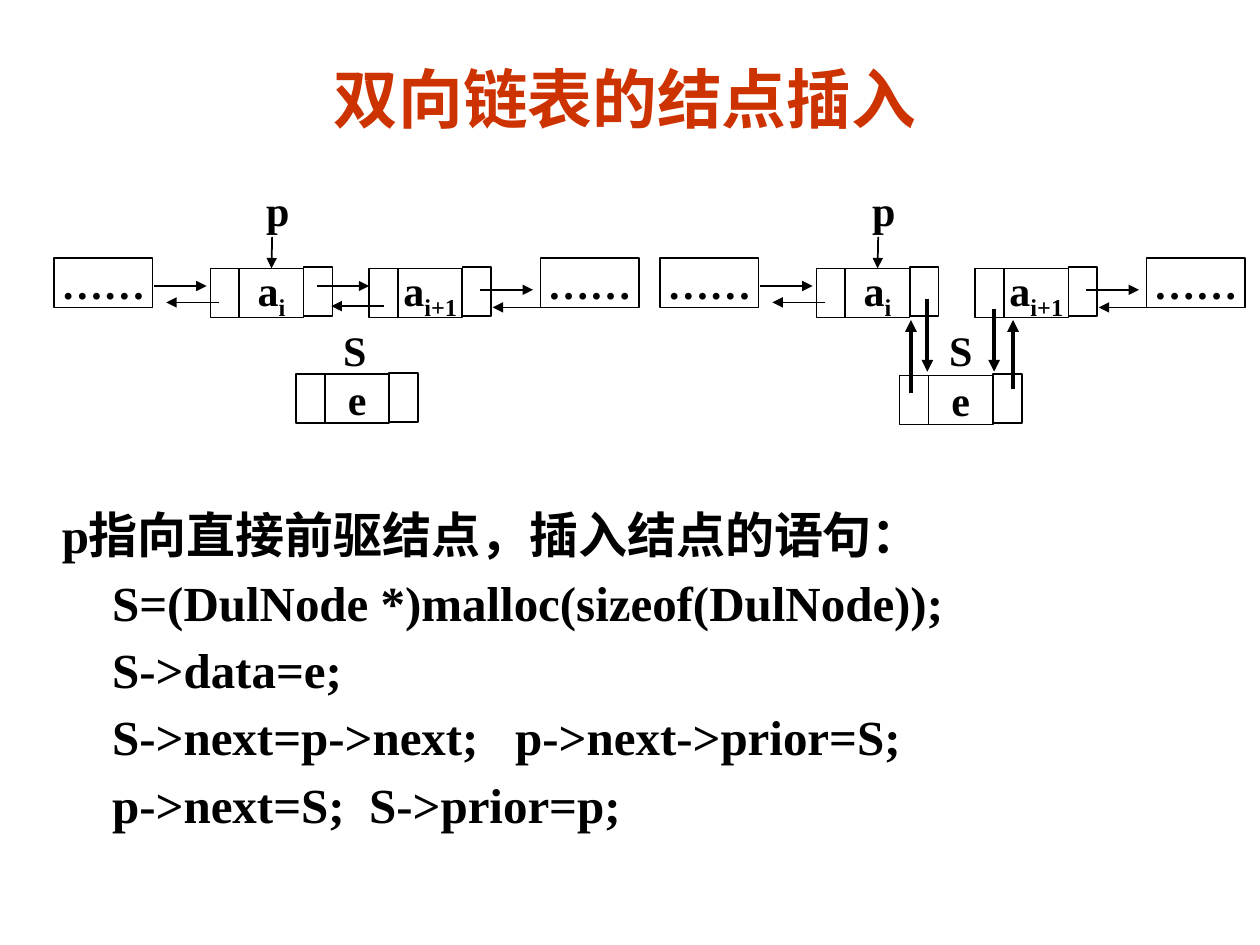
"""Build a slide on inserting a node into a doubly linked list."""
from lxml.etree import SubElement
from pptx import Presentation
from pptx.dml.color import RGBColor
from pptx.enum.shapes import MSO_CONNECTOR, MSO_SHAPE
from pptx.enum.text import MSO_ANCHOR, PP_ALIGN
from pptx.oxml.ns import qn
from pptx.util import Inches, Pt

BLACK = RGBColor(0, 0, 0)
TITLE_RED = RGBColor(0xCC, 0x33, 0x00)
LATIN_FONT = "Times New Roman"
CHINESE_FONT = "Noto Sans CJK SC"

presentation = Presentation()
presentation.slide_width = Inches(10)
presentation.slide_height = Inches(7.5)
slide = presentation.slides.add_slide(presentation.slide_layouts[1])


def add_box(left, top, width, height=0.39, text="", subscript="", outlined=True):
    if outlined:
        shape = slide.shapes.add_shape(
            MSO_SHAPE.RECTANGLE, Inches(left), Inches(top), Inches(width), Inches(height))
        shape.shadow.inherit = False
        shape.fill.background()
        shape.line.color.rgb = BLACK
        shape.line.width = Pt(1)
    else:
        shape = slide.shapes.add_textbox(
            Inches(left), Inches(top), Inches(width), Inches(height))
    text_frame = shape.text_frame
    text_frame.word_wrap = False
    text_frame.vertical_anchor = MSO_ANCHOR.MIDDLE
    paragraph = text_frame.paragraphs[0]
    paragraph.alignment = PP_ALIGN.CENTER
    for part, baseline in ((text, 0), (subscript, -25000)):
        if part:
            run = paragraph.add_run()
            run.text = part
            run.font.name = LATIN_FONT
            run.font.size = Pt(24)
            run.font.bold = True
            run.font.color.rgb = BLACK
            if baseline:
                run.font._element.set("baseline", str(baseline))
    return shape


def add_arrow(start_x, start_y, end_x, end_y, width=1):
    arrow = slide.shapes.add_connector(
        MSO_CONNECTOR.STRAIGHT, Inches(start_x), Inches(start_y), Inches(end_x), Inches(end_y))
    arrow.line.color.rgb = BLACK
    arrow.line.width = Pt(width)
    SubElement(arrow.line._get_or_add_ln(), qn("a:tailEnd"), type="triangle")
    SubElement(arrow._element.spPr, qn("a:effectLst"))
    return arrow


title = slide.shapes.title
title.left, title.top, title.width, title.height = (
    Inches(0.75), Inches(0.42), Inches(8.42), Inches(0.75))
title.text_frame.text = "双向链表的结点插入"
title.text_frame.vertical_anchor = MSO_ANCHOR.TOP
title.text_frame.paragraphs[0].alignment = PP_ALIGN.CENTER
title_font = title.text_frame.paragraphs[0].runs[0].font
title_font.name = LATIN_FONT
title_font.size = Pt(37)
title_font.bold = True
title_font.color.rgb = TITLE_RED
SubElement(title_font._element, qn("a:ea"), typeface=CHINESE_FONT)

for offset, new_node_left, new_node_top in ((0, 2.35, 2.97), (4.81, 7.14, 2.98)):
    nodes = (
        (new_node_left, new_node_top, "e", ""),
        (1.67 + offset, 2.13, "a", "i"),
        (2.93 + offset, 2.13, "a", "i+1"),
    )
    data_cells = []
    for left, top, text, subscript in nodes:
        add_box(left, top, 0.23)
        data_cells.append(add_box(left + 0.23, top, 0.51, text=text, subscript=subscript))
        add_box(left + 0.74, top - 0.01, 0.23)

    for left in (0.43, 4.29):
        add_box(left + offset, 2.05, 0.78, text="……")
    add_box(2.62 + offset, 2.62, 0.39, 0.31, text="S", outlined=False)
    add_box(2.01 + offset, 1.47, 0.39, text="p", outlined=False)

    pointer = add_arrow(2.16 + offset, 1.88, 2.16 + offset, 2.13)
    pointer.end_connect(data_cells[1], 0)
    for start, end, height in ((1.22, 1.64, 2.27), (1.74, 1.32, 2.4),
                               (3.81, 4.23, 2.3), (4.33, 3.91, 2.44)):
        add_arrow(start + offset, height, end + offset, height)

for start, end, height in ((2.52, 2.93, 2.27), (3.05, 2.63, 2.43)):
    add_arrow(start, height, end, height)

for left, start, end in ((8.04, 3.09, 2.54), (7.89, 2.45, 2.95),
                         (7.36, 2.37, 2.95), (7.23, 3.12, 2.54)):
    add_arrow(left, start, left, end, 2.25)

body = slide.placeholders[1]
body.left, body.top, body.width, body.height = (
    Inches(0), Inches(3.91), Inches(9.88), Inches(3.14))
body.text_frame.text = "\n".join((
    "p指向直接前驱结点，插入结点的语句：",
    "S=(DulNode *)malloc(sizeof(DulNode));",
    "S->data=e;",
    "S->next=p->next;   p->next->prior=S;",
    "p->next=S;  S->prior=p;",
))
for index, paragraph in enumerate(body.text_frame.paragraphs):
    paragraph.level = min(index, 1)
    paragraph.line_spacing = 1.1
    paragraph.space_before = Pt(1.5)
    properties = paragraph._p.get_or_add_pPr()
    properties.set("marL", str(Inches(0.79 if index else 0.39)))
    properties.set("indent", "0")
    SubElement(properties, qn("a:buNone"))
    font = paragraph.runs[0].font
    font.name = LATIN_FONT
    font.size = Pt(28)
    font.bold = True
    font.color.rgb = BLACK
    SubElement(font._element, qn("a:ea"), typeface=CHINESE_FONT)

presentation.save("out.pptx")
